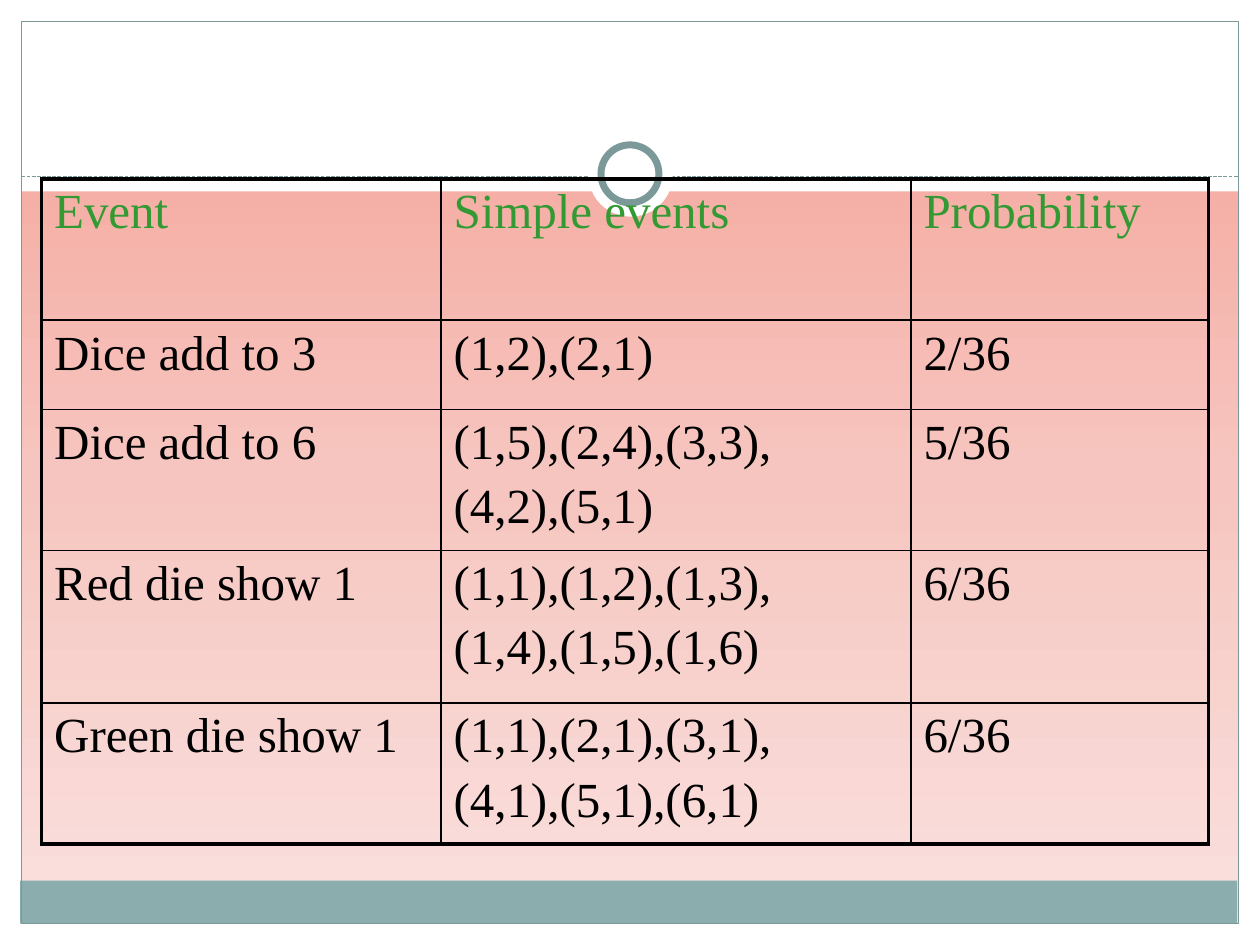
from copy import deepcopy

from lxml import etree
from pptx import Presentation
from pptx.dml.color import RGBColor
from pptx.enum.dml import MSO_LINE
from pptx.enum.shapes import MSO_CONNECTOR, MSO_SHAPE
from pptx.oxml.ns import qn
from pptx.util import Inches, Pt

RECTANGLE = MSO_SHAPE.RECTANGLE
OVAL = MSO_SHAPE.OVAL
STRAIGHT = MSO_CONNECTOR.STRAIGHT
SYSTEM_DASH = MSO_LINE.SQUARE_DOT

THEME = {
    "white": RGBColor.from_string("FFFFFF"),
    "band": RGBColor.from_string("8CADAE"),
    "outline": RGBColor.from_string("7C999A"),
    "heading": RGBColor.from_string("339933"),
    "body": RGBColor.from_string("000000"),
    "border": "000000",
    "gradient": ["F4A095", "F6C5BF", "FAE2E0"],
    "font": "Times New Roman",
    "size": Pt(28),
    "inner": Pt(1),
    "outer": Pt(2.25),
}

deck = Presentation()
deck.slide_width = Inches(10)
deck.slide_height = Inches(7.5)
page = deck.slides.add_slide(deck.slide_layouts[6])

background = page.background.fill
background.gradient()
background.gradient_angle = 270
stop_list = page._element.find(".//" + qn("a:gsLst"))
stop_list.append(deepcopy(stop_list[0]))
for index, (stop, color) in enumerate(zip(background.gradient_stops, THEME["gradient"])):
    stop.position = index / 2
    stop.color.rgb = RGBColor.from_string(color)


def add_panel(kind, left, top, width, height, fill=None, line_width=None):
    panel = page.shapes.add_shape(kind, Inches(left), Inches(top), Inches(width), Inches(height))
    panel.shadow.inherit = False
    if fill is None:
        panel.fill.background()
    else:
        panel.fill.solid()
        panel.fill.fore_color.rgb = fill
    if line_width is None:
        panel.line.fill.background()
    else:
        panel.line.color.rgb = THEME["outline"]
        panel.line.width = Pt(line_width)


def add_border(cell, side, width):
    properties = cell._tc.get_or_add_tcPr()
    line = etree.Element(qn("a:ln" + side), w=str(width))
    solid = etree.SubElement(line, qn("a:solidFill"))
    etree.SubElement(solid, qn("a:srgbClr"), val=THEME["border"])
    properties.insert("LRTB".index(side), line)


for left, top, width, height in [
    (0, 7.33, 10, 0.17),
    (0, 0, 10, 1.52),
    (0, 0, 0.17, 7.5),
    (9.83, 0, 0.17, 7.5),
]:
    add_panel(RECTANGLE, left, top, width, height, THEME["white"])
add_panel(RECTANGLE, 0.16, 6.99, 9.66, 0.34, THEME["band"])
add_panel(RECTANGLE, 0.17, 0.17, 9.66, 7.16, line_width=0.75)

divider = page.shapes.add_connector(STRAIGHT, Inches(0.17), Inches(1.4), Inches(9.83), Inches(1.4))
divider.line.color.rgb = THEME["outline"]
divider.line.width = Pt(0.75)
divider.line.dash_style = SYSTEM_DASH
etree.SubElement(divider._element.spPr, qn("a:effectLst"))

add_panel(OVAL, 4.67, 1.05, 0.67, 0.67, THEME["white"])
add_panel(OVAL, 4.77, 1.15, 0.46, 0.46, THEME["white"], 4)

events = [
    (["Event"], ["Simple events"], ["Probability"]),
    (["Dice add to 3"], ["(1,2),(2,1)"], ["2/36"]),
    (["Dice add to 6"], ["(1,5),(2,4),(3,3),", "(4,2),(5,1)"], ["5/36"]),
    (["Red die show 1"], ["(1,1),(1,2),(1,3),", "(1,4),(1,5),(1,6)"], ["6/36"]),
    (["Green die show 1"], ["(1,1),(2,1),(3,1),", "(4,1),(5,1),(6,1)"], ["6/36"]),
]
column_widths = [3.17, 3.73, 2.36]
row_heights = [1.12, 0.71, 1.12, 1.21, 1.12]
last_row = len(row_heights) - 1
last_column = len(column_widths) - 1

table = page.shapes.add_table(
    len(row_heights), len(column_widths),
    Inches(0.33), Inches(1.42), Inches(sum(column_widths)), Inches(sum(row_heights)),
).table
table.first_row = False
table.horz_banding = False
for column, width in zip(table.columns, column_widths):
    column.width = Inches(width)
for row, height in zip(table.rows, row_heights):
    row.height = Inches(height)

for row_index, event in enumerate(events):
    for column_index, lines in enumerate(event):
        cell = table.cell(row_index, column_index)
        cell.fill.background()
        edges = {
            "L": column_index == 0,
            "R": column_index == last_column,
            "T": row_index == 0,
            "B": row_index == last_row,
        }
        for side, is_outer in edges.items():
            add_border(cell, side, THEME["outer"] if is_outer else THEME["inner"])
        for line_index, text in enumerate(lines):
            frame = cell.text_frame
            para = frame.add_paragraph() if line_index else frame.paragraphs[0]
            spacing = etree.SubElement(para._p.get_or_add_pPr(), qn("a:spcBef"))
            etree.SubElement(spacing, qn("a:spcPct"), val="20000")
            span = para.add_run()
            span.text = text
            span.font.name = THEME["font"]
            span.font.size = THEME["size"]
            span.font.color.rgb = THEME["body"] if row_index else THEME["heading"]

deck.save("out.pptx")
